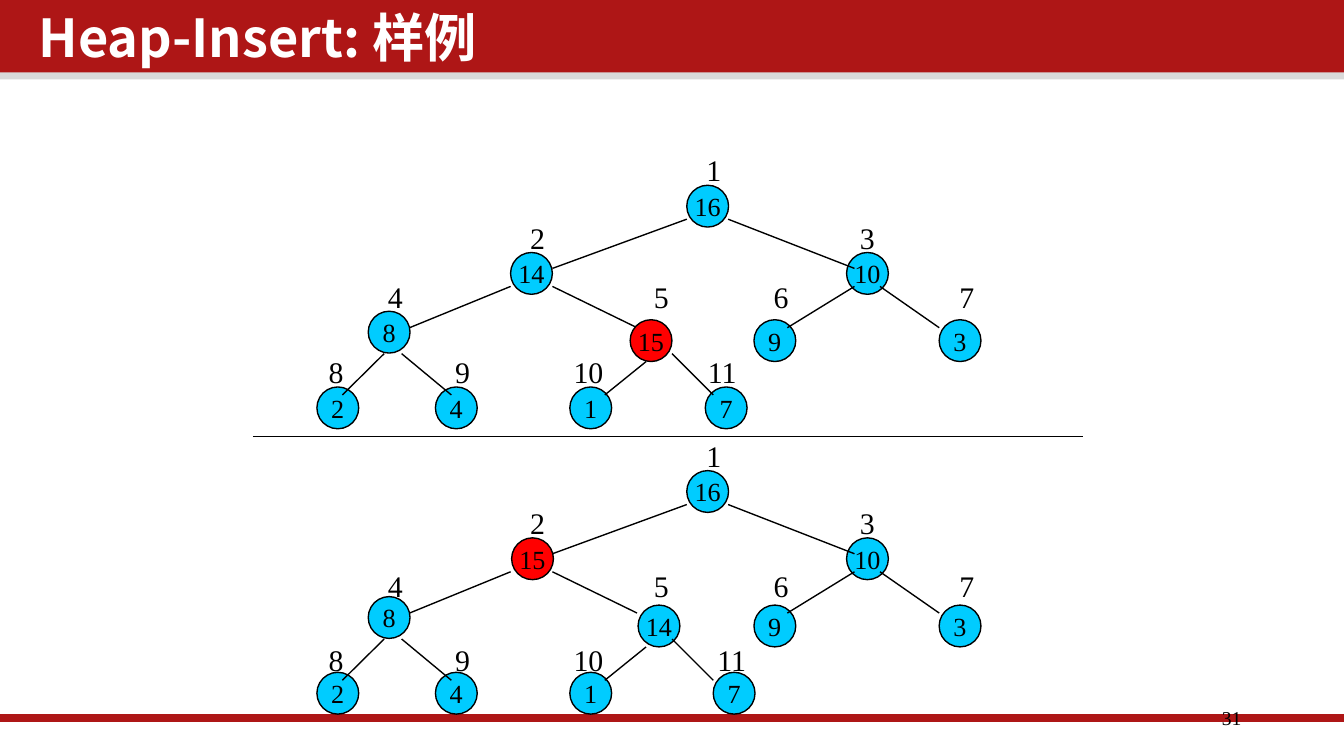
from dataclasses import dataclass

from lxml import etree
from pptx import Presentation
from pptx.dml import color
from pptx.enum import shapes, text
from pptx.oxml import ns
from pptx.util import Cm, Pt


@dataclass(frozen=True)
class Theme:
    """Colours, fonts and type sizes of the slide."""
    band: str = "AE1616"
    band_edge: str = "D9D9D9"
    ink: str = "000000"
    title_ink: str = "FFFFFF"
    node: str = "00CCFF"
    changed: str = "FF0000"
    title_font: str = "Noto Sans CJK SC"
    body_font: str = "Times New Roman"
    title_size: float = 28
    node_size: float = 14
    index_size: float = 16
    number_size: float = 10.5
    hairline: float = 0.75
    footer_line: float = 4


THEME = Theme()
NODE_SIZE = 0.79
LEVEL_TOPS = {1: 0, 2: 1.27, 3: 1.27, 4: 2.38, 5: 2.54, 6: 2.54, 7: 2.54,
              8: 3.81, 9: 3.81, 10: 3.81, 11: 3.81}
INDEX_LEFTS = {1: 7.11, 2: 3.78, 3: 10.01, 4: 1.09, 5: 6.12, 6: 8.38, 7: 11.89,
               8: -0.03, 9: 2.36, 10: 4.6, 11: 7.14}
NODE_LEFTS = {1: 6.99, 2: 3.66, 3: 10.01, 4: 0.97, 5: 5.92, 6: 8.26, 7: 11.76,
              8: 0, 9: 2.24, 10: 4.78, 11: 7.34}
EDGES = [
    (6.99, 0.64, 4.45, 1.57), (7.77, 0.64, 10.16, 1.57),
    (3.66, 1.91, 1.75, 2.69), (4.45, 1.91, 6.05, 2.69),
    (10.16, 1.91, 8.89, 2.69), (10.64, 1.91, 11.76, 2.69),
    (1.27, 3.18, 0.48, 3.96), (1.6, 3.18, 2.54, 3.96),
    (6.22, 3.33, 5.44, 3.96), (6.71, 3.18, 7.49, 3.96),
]


def assign(target, formats):
    """Set each attribute named in formats on the target."""
    for name, value in formats.items():
        setattr(target, name, value)


def write(shape, words, size, ink=THEME.ink, font=THEME.body_font, bold=False,
          frame_format=None, paragraph_format=None):
    """Put one formatted run of text into a shape."""
    assign(shape.text_frame, frame_format or {})
    paragraph = shape.text_frame.paragraphs[0]
    assign(paragraph, paragraph_format or {})
    run = paragraph.add_run()
    run.text = words
    assign(run.font, {"size": Pt(size), "name": font, "bold": bold})
    run.font.color.rgb = color.RGBColor.from_string(ink)
    etree.SubElement(run.font._element, ns.qn("a:ea"), typeface=font)


def add_filled(slide, kind, box, fill, outline=None):
    """Add a flat preset shape in a box given in centimetres."""
    shape = slide.shapes.add_shape(kind, *map(Cm, box))
    shape.shadow.inherit = False
    shape.fill.solid()
    shape.fill.fore_color.rgb = color.RGBColor.from_string(fill)
    if outline:
        shape.line.color.rgb = color.RGBColor.from_string(outline)
        shape.line.width = Pt(THEME.hairline)
    else:
        shape.line.fill.background()
    return shape


def add_line(slide, ends, ink=THEME.ink, width=THEME.hairline):
    """Add a straight line between two points given in centimetres."""
    line = slide.shapes.add_connector(shapes.MSO_CONNECTOR.STRAIGHT, *map(Cm, ends))
    line.line.color.rgb = color.RGBColor.from_string(ink)
    line.line.width = Pt(width)
    etree.SubElement(line._element.spPr, ns.qn("a:effectLst"))


def add_header(slide, box, words):
    """Draw the title band and place the title in it."""
    left, top, width, height = box
    rectangle = shapes.MSO_SHAPE.RECTANGLE
    add_filled(slide, rectangle, (left, top + height - 0.1, width, 0.23), THEME.band_edge)
    add_filled(slide, rectangle, box, THEME.band)
    title = slide.shapes.title
    slide.shapes._spTree.append(title._element)
    assign(title, {"left": Cm(left + 0.55), "top": Cm(top + 0.02),
                   "width": Cm(19.41), "height": Cm(1.5)})
    write(title, words, THEME.title_size, THEME.title_ink, THEME.title_font, True,
          {"margin_left": Cm(0.18), "margin_right": Cm(0.18),
           "margin_top": Cm(0.1), "margin_bottom": Cm(0.1), "word_wrap": True,
           "auto_size": text.MSO_AUTO_SIZE.NONE,
           "vertical_anchor": text.MSO_ANCHOR.MIDDLE},
          {"alignment": text.PP_ALIGN.LEFT, "line_spacing": 0.9})


def add_footer(slide, box, number):
    """Draw the footer rule and the page number."""
    left, top, width, height = box
    add_line(slide, (left, top + 0.33, left + width, top + 0.33),
             THEME.band, THEME.footer_line)
    label = slide.shapes.add_textbox(Cm(left + 17.92), Cm(top), Cm(5.72), Cm(height))
    write(label, number, THEME.number_size,
          frame_format={"margin_left": Cm(0.18), "margin_right": Cm(0.18),
                        "margin_top": Cm(0.1), "margin_bottom": Cm(0.1),
                        "word_wrap": True},
          paragraph_format={"alignment": text.PP_ALIGN.RIGHT})


def add_node(slide, box, key, fill):
    """Draw one heap node with its key."""
    node = add_filled(slide, shapes.MSO_SHAPE.OVAL, box, fill, THEME.ink)
    write(node, str(key), THEME.node_size,
          frame_format={"word_wrap": False, "vertical_anchor": text.MSO_ANCHOR.MIDDLE},
          paragraph_format={"alignment": text.PP_ALIGN.CENTER})


def add_heap(slide, left, top, keys, changed, index_tops, node_lefts, index_lefts):
    """Draw a heap from its key list, with the changed index on top."""
    def place_node(index, fill):
        """Place the node of one heap index."""
        add_node(slide, (left + node_lefts[index], top + LEVEL_TOPS[index],
                         NODE_SIZE, NODE_SIZE), keys[index - 1], fill)

    for index in node_lefts:
        if index != changed:
            place_node(index, THEME.node)
    for x1, y1, x2, y2 in EDGES:
        add_line(slide, (left + x1, top + y1, left + x2, top + y2))
    place_node(changed, THEME.changed)
    for index, index_left in index_lefts.items():
        level = index.bit_length() - 1
        label = slide.shapes.add_textbox(
            Cm(left + index_left), Cm(top + index_tops[level]),
            Cm(0.8 if index < 10 else 1.15), Cm(0.94))
        write(label, str(index), THEME.index_size, frame_format={
            "margin_right": 0, "word_wrap": False,
            "auto_size": text.MSO_AUTO_SIZE.NONE})


def main():
    """Build and save the heap insertion slide."""
    presentation = Presentation()
    assign(presentation, {"slide_width": Cm(25.4), "slide_height": Cm(14.28)})
    slide = presentation.slides.add_slide(presentation.slide_layouts[5])
    add_header(slide, (0, 0, 25.4, 1.37), "Heap-Insert: 样例")
    add_footer(slide, (0, 13.23, 25.4, 0.76), "31")
    add_line(slide, (4.78, 8.25, 20.47, 8.25))
    add_heap(slide, 5.99, 3.5, [16, 14, 10, 8, 15, 9, 3, 2, 4, 1, 7], 5,
             (-0.76, 0.53, 1.63, 3.05), NODE_LEFTS, INDEX_LEFTS)
    add_heap(slide, 5.99, 8.89, [16, 15, 10, 8, 14, 9, 3, 2, 4, 1, 7], 2,
             (-0.74, 0.51, 1.7, 3.1), {**NODE_LEFTS, 2: 3.68, 5: 6.07, 11: 7.49},
             {**INDEX_LEFTS, 11: 7.32})
    presentation.save("out.pptx")


if __name__ == "__main__":
    main()
